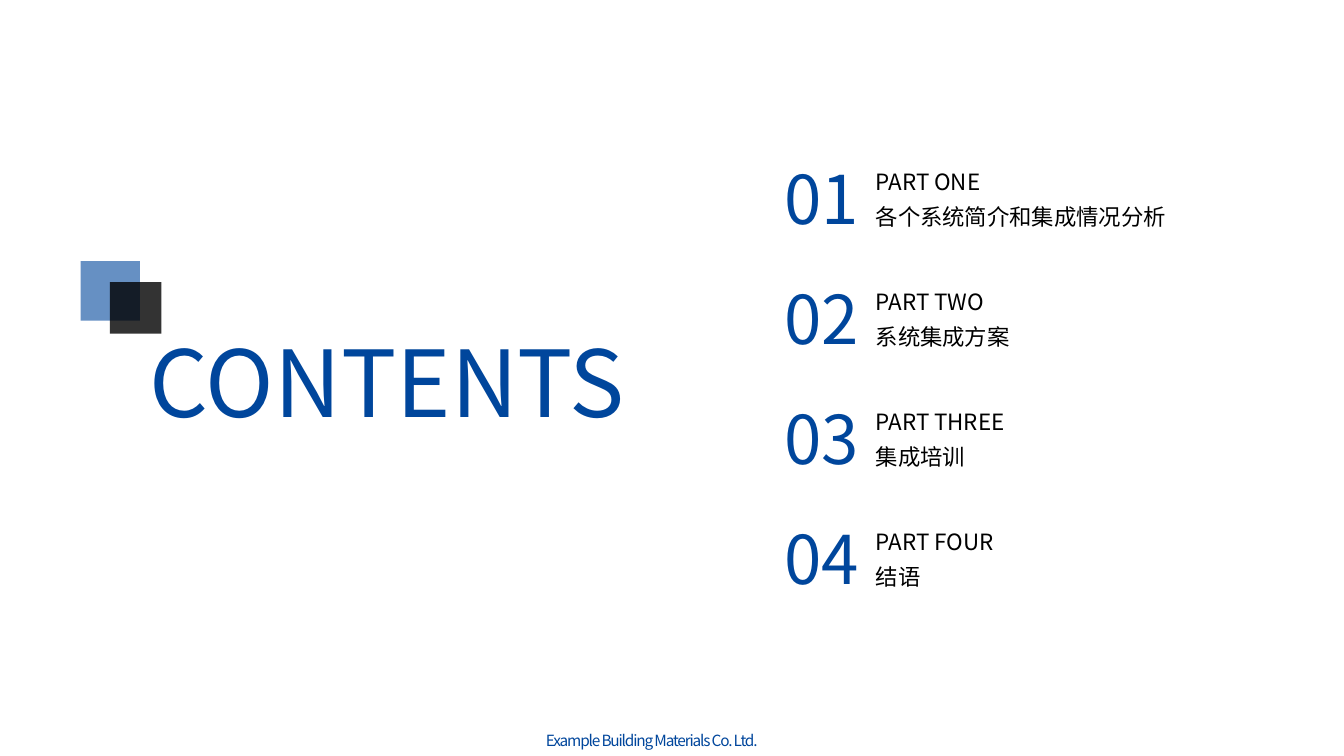
import pptx
import pptx.dml.color
import pptx.enum.shapes
import pptx.enum.text
import pptx.oxml.ns
import pptx.util
from lxml import etree

Cm = pptx.util.Cm
qn = pptx.oxml.ns.qn

theme = {
    "font": "Noto Sans CJK SC",
    "blue": pptx.dml.color.RGBColor.from_string("00469C"),
    "black": pptx.dml.color.RGBColor.from_string("000000"),
    "title": pptx.util.Pt(66),
    "number": pptx.util.Pt(48),
    "part": pptx.util.Pt(16),
    "footer": pptx.util.Pt(11),
}
frame_format = {
    "word_wrap": False,
    "auto_size": pptx.enum.text.MSO_AUTO_SIZE.SHAPE_TO_FIT_TEXT,
}


def add_text(left, top, width, height, lines, size, color, line_spacing=None, tracking=None):
    box = page.shapes.add_textbox(Cm(left), Cm(top), Cm(width), Cm(height))
    for name, value in frame_format.items():
        setattr(box.text_frame, name, value)
    for index, line in enumerate(lines):
        para = box.text_frame.add_paragraph() if index else box.text_frame.paragraphs[0]
        para.line_spacing = line_spacing
        span = para.add_run()
        span.text = line
        for name, value in {"name": theme["font"], "size": theme[size]}.items():
            setattr(span.font, name, value)
        span.font.color.rgb = theme[color]
        properties = span.font._element
        etree.SubElement(properties, qn("a:ea")).set("typeface", theme["font"])
        if tracking:
            properties.set("spc", str(tracking))


deck = pptx.Presentation()
deck.slide_width = Cm(33.87)
deck.slide_height = Cm(19.05)
page = deck.slides.add_slide(deck.slide_layouts[6])

add_text(13.51, 18.31, 6.83, 0.74, ["Example Building Materials Co. Ltd."],
         "footer", "blue", tracking=-85)
add_text(3.53, 8.08, 13.13, 3.07, ["CONTENTS"], "title", "blue")

squares = [(2.03, 6.58, 1.5, "blue", 60), (2.77, 7.11, 1.3, "black", 80)]
for left, top, side, color, opacity in squares:
    square = page.shapes.add_shape(
        pptx.enum.shapes.MSO_SHAPE.RECTANGLE, Cm(left), Cm(top), Cm(side), Cm(side))
    square.shadow.inherit = False
    square.line.fill.background()
    square.fill.solid()
    square.fill.fore_color.rgb = theme[color]
    shade = square._element.spPr.find(".//" + qn("a:srgbClr"))
    etree.SubElement(shade, qn("a:alpha")).set("val", str(opacity * 1000))

parts = [
    ("PART ONE", "各个系统简介和集成情况分析", 7.85),
    ("PART TWO", "系统集成方案", 3.89),
    ("PART THREE", "集成培训", 3.78),
    ("PART FOUR", "结语", 3.61),
]
row_pitch = 3.02
for row, (label, topic, width) in enumerate(parts):
    top = 3.84 + row * row_pitch
    add_text(21.82, top + 0.08, width, 2.03, [label, topic], "part", "black", line_spacing=1.3)
    add_text(19.51, top, 2.51, 2.31, [f"{row + 1:02d}"], "number", "blue")

deck.save("out.pptx")
